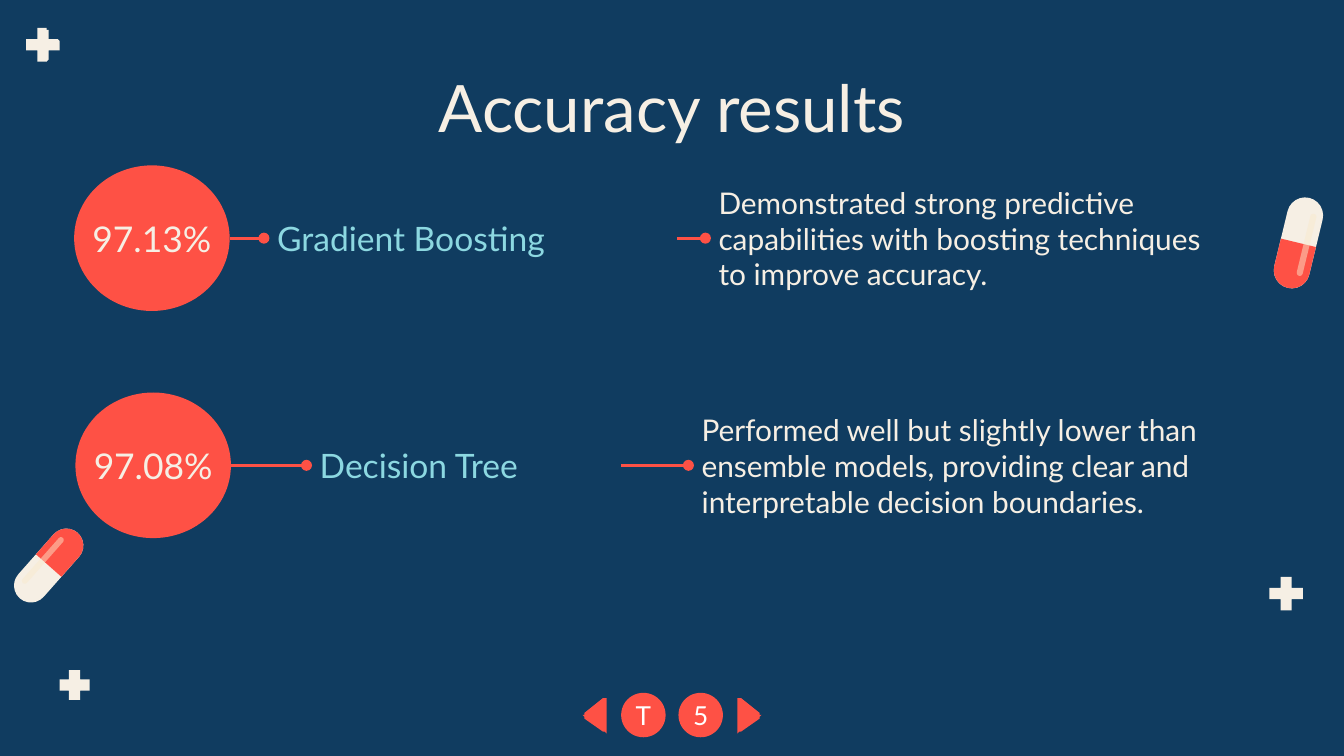
import math
import pptx
import pptx.util
import pptx.dml.color
import pptx.enum.shapes
import pptx.enum.text
import pptx.oxml.ns
import pptx.oxml.xmlchemy

Pt = pptx.util.Pt
SHAPES = pptx.enum.shapes.MSO_SHAPE
ALIGN = pptx.enum.text.PP_ALIGN
ANCHOR = pptx.enum.text.MSO_ANCHOR

COLORS = {
    "navy": "103C60", "cream": "F6EFE4", "red": "FE5145",
    "shine": "FAE9CD", "aqua": "8CD8E1", "white": "FFFFFF",
}
TITLE = "Accuracy results"
RESULTS = [
    {"score": "97.13%", "model": "Gradient Boosting",
     "note": "Demonstrated strong predictive capabilities with boosting techniques to improve accuracy.",
     "circle_left": 39.7, "middle": 127.6, "model_left": 141.4, "model_width": 221.2,
     "note_left": 377.9, "note_width": 285},
    {"score": "97.08%", "model": "Decision Tree",
     "note": "Performed well but slightly lower than ensemble models, providing clear and interpretable decision boundaries.",
     "circle_left": 40.4, "middle": 249.3, "model_left": 164.2, "model_width": 168.5,
     "note_left": 368.8, "note_width": 310.3},
]
PLUSES = [(31.7, 358.7, 16.5), (679.6, 308.9, 18.2), (13.5, 15, 18.2)]
PILLS = [(26.1, 303, 18.2, 46.8, 41.5), (695.6, 130.1, 19.3, 49.6, 193.6)]
BUTTONS = [("T", 344.7), ("5", 375.4)]
ARROWS = [(394.6, 408.6), (325.4, 311.4)]
CIRCLE_WIDTH, CIRCLE_HEIGHT, LABEL_HEIGHT = 83.3, 78, 42
BUTTON_SIZE, FOOTER_MIDDLE = 23.8, 383.1

presentation = pptx.Presentation()
presentation.slide_width, presentation.slide_height = Pt(720), Pt(405)
slide = presentation.slides.add_slide(presentation.slide_layouts[6])


def rgb(color):
    return pptx.dml.color.RGBColor.from_string(COLORS[color])


def add_element(parent, tag, **attributes):
    element = pptx.oxml.xmlchemy.OxmlElement(tag)
    for name, value in attributes.items():
        element.set(name, value)
    parent.append(element)


def paint(shape, color):
    shape.shadow.inherit = False
    shape.fill.solid()
    shape.fill.fore_color.rgb = rgb(color)
    shape.line.fill.background()
    return shape


def add_preset(kind, center_x, center_y, width, height, color):
    shape = slide.shapes.add_shape(kind, Pt(center_x - width / 2), Pt(center_y - height / 2),
                                   Pt(width), Pt(height))
    return paint(shape, color)


def add_box(left, top, width, height):
    return slide.shapes.add_textbox(Pt(left), Pt(top), Pt(width), Pt(height))


def write(shape, text, *, size, color, align=ALIGN.LEFT, anchor=ANCHOR.MIDDLE, side=7.2):
    frame = shape.text_frame
    frame.word_wrap = True
    frame.vertical_anchor = anchor
    frame.margin_left = frame.margin_right = Pt(side)
    frame.margin_top = frame.margin_bottom = Pt(7.2)
    paragraph = frame.paragraphs[0]
    paragraph.alignment = align
    run = paragraph.add_run()
    run.text = text
    run.font.name = "Lato"
    run.font.size = Pt(size)
    run.font.color.rgb = rgb(color)


def add_rounded_polygon(corners, radius, color):
    points = []
    for index, corner in enumerate(corners):
        ends = []
        for neighbor in (corners[index - 1], corners[(index + 1) % len(corners)]):
            share = radius / math.dist(corner, neighbor)
            ends.append([a + (b - a) * share for a, b in zip(corner, neighbor)])
        for step in range(7):
            t = step / 6
            points.append(tuple((1 - t) ** 2 * start + 2 * t * (1 - t) * middle + t * t * end
                                for start, middle, end in zip(ends[0], corner, ends[1])))
    builder = slide.shapes.build_freeform(*points[0], scale=Pt(1))
    builder.add_line_segments(points[1:], close=True)
    paint(builder.convert_to_shape(), color)


def add_plus(left, top, size):
    near, far = size * 0.34, size * 0.66
    corners = [(near, 0), (far, 0), (far, near), (size, near), (size, far), (far, far),
               (far, size), (near, size), (near, far), (0, far), (0, near), (near, near)]
    add_rounded_polygon([(left + x, top + y) for x, y in corners], 1, "cream")


def add_pill(center_x, center_y, width, length, angle):
    turn = math.radians(angle)
    parts = [
        (SHAPES.ROUNDED_RECTANGLE, 0, 0, width, length, "cream"),
        (SHAPES.ROUND_2_SAME_RECTANGLE, 0, -length / 4, width, length / 2, "red"),
        (SHAPES.ROUNDED_RECTANGLE, -width * 0.23, 0, width * 0.17, length * 0.69, "shine"),
    ]
    for kind, x, y, part_width, part_length, color in parts:
        shape = add_preset(kind, center_x + x * math.cos(turn) - y * math.sin(turn),
                           center_y + x * math.sin(turn) + y * math.cos(turn),
                           part_width, part_length, color)
        shape.adjustments[0] = 0.5
        shape.rotation = angle
        if color == "shine":
            fill_color = shape._element.spPr.find(".//" + pptx.oxml.ns.qn("a:srgbClr"))
            add_element(fill_color, "a:alpha", val="49000")


def add_pointer(start, end, y):
    connector = slide.shapes.add_connector(pptx.enum.shapes.MSO_CONNECTOR.STRAIGHT,
                                           Pt(start), Pt(y), Pt(end), Pt(y))
    connector.line.width = Pt(1.5)
    connector.line.color.rgb = rgb("red")
    properties = connector._element.spPr
    add_element(properties.find(pptx.oxml.ns.qn("a:ln")), "a:tailEnd", type="oval")
    add_element(properties, "a:effectLst")


def add_result(result):
    middle, left = result["middle"], result["circle_left"]
    top = middle - LABEL_HEIGHT / 2
    for part, size, color in (("note", 16, "cream"), ("model", 18, "aqua")):
        box = add_box(result[part + "_left"], top, result[part + "_width"], LABEL_HEIGHT)
        write(box, result[part], size=size, color=color)
    add_preset(SHAPES.OVAL, left + CIRCLE_WIDTH / 2, middle, CIRCLE_WIDTH, CIRCLE_HEIGHT, "red")
    write(add_box(left, top, CIRCLE_WIDTH, LABEL_HEIGHT), result["score"],
          size=19, color="cream", align=ALIGN.CENTER, side=0)
    add_pointer(result["model_left"] + result["model_width"], result["note_left"], middle)
    add_pointer(left + CIRCLE_WIDTH, result["model_left"], middle)


slide.background.fill.solid()
slide.background.fill.fore_color.rgb = rgb("navy")
for plus in PLUSES:
    add_plus(*plus)
for pill in PILLS:
    add_pill(*pill)
write(add_box(56.2, 28.8, 607.7, 45.4), TITLE, size=35, color="cream",
      align=ALIGN.CENTER, anchor=ANCHOR.TOP)
for label, center in BUTTONS:
    button = add_preset(SHAPES.OVAL, center, FOOTER_MIDDLE, BUTTON_SIZE, BUTTON_SIZE, "red")
    write(button, label, size=14, color="white", align=ALIGN.CENTER, side=0)
for base, tip in ARROWS:
    add_rounded_polygon([(base, FOOTER_MIDDLE - 10.5), (tip, FOOTER_MIDDLE),
                         (base, FOOTER_MIDDLE + 10.5)], 2.5, "red")
for result in RESULTS:
    add_result(result)

presentation.save("out.pptx")
